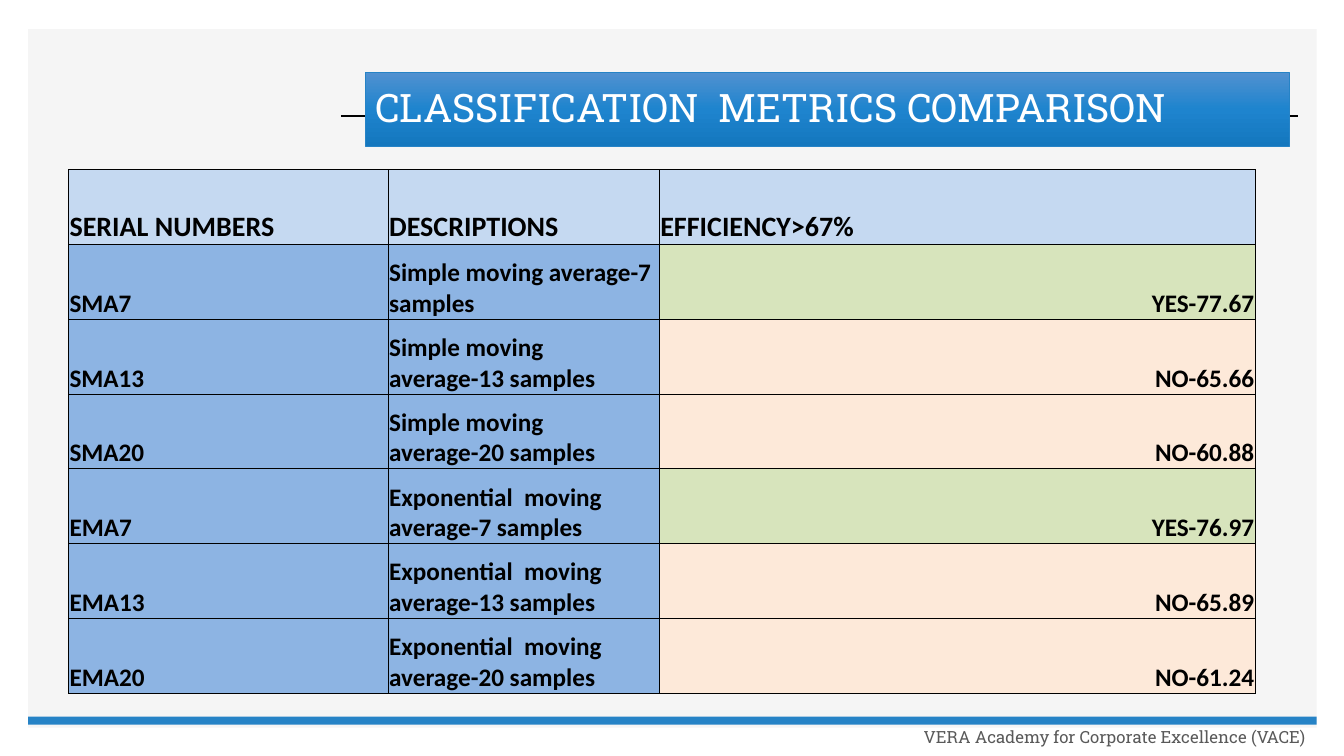
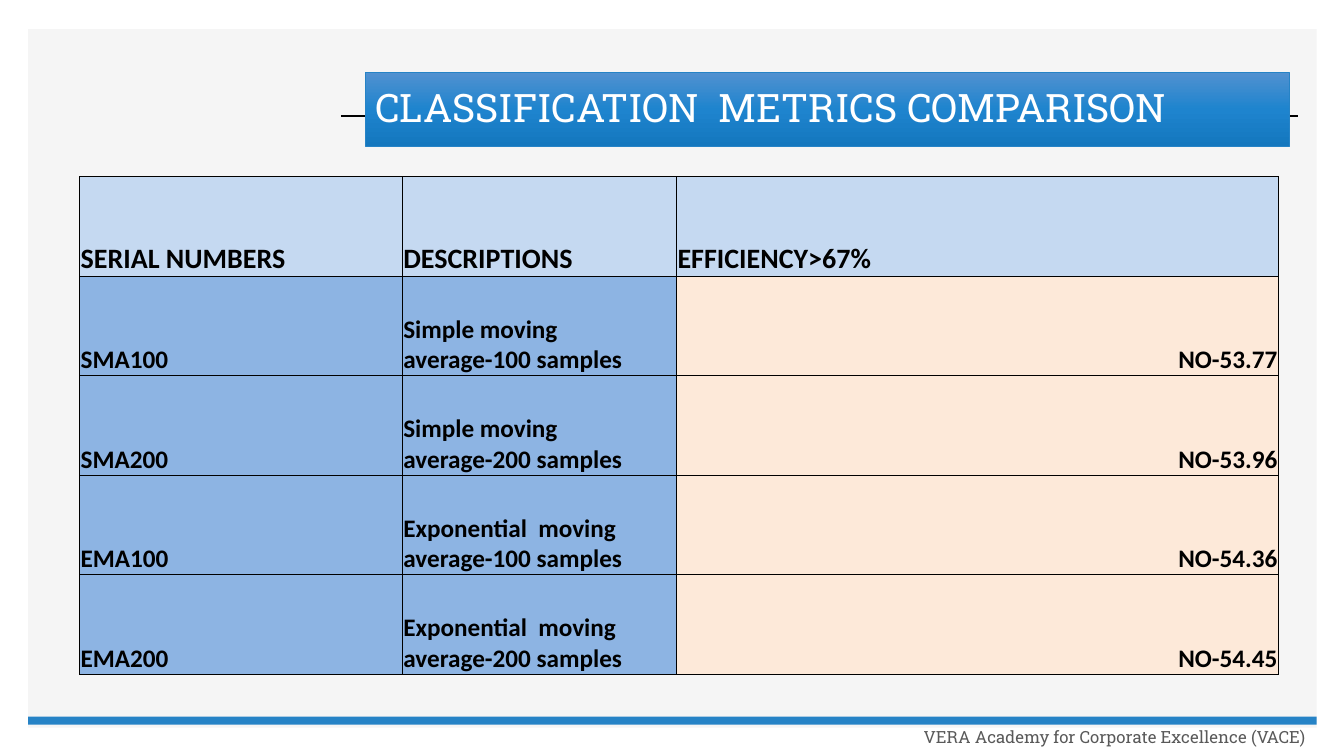
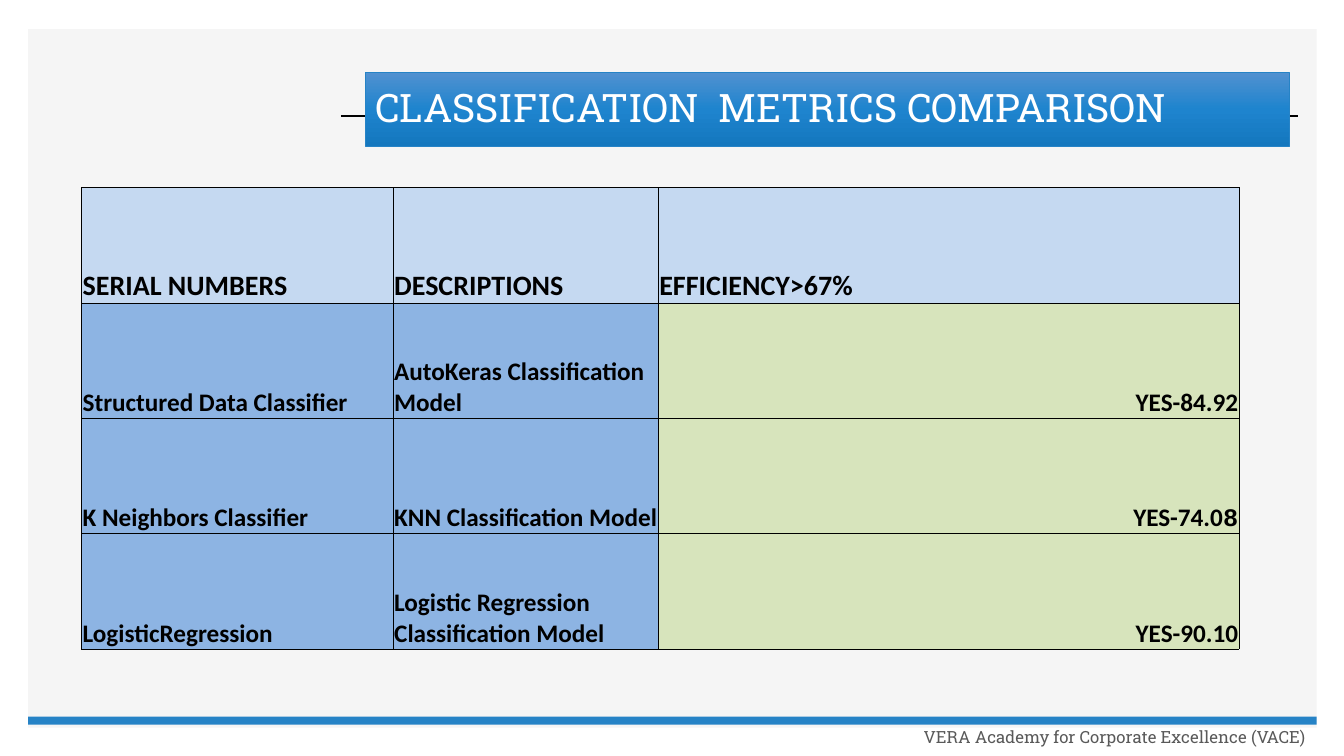
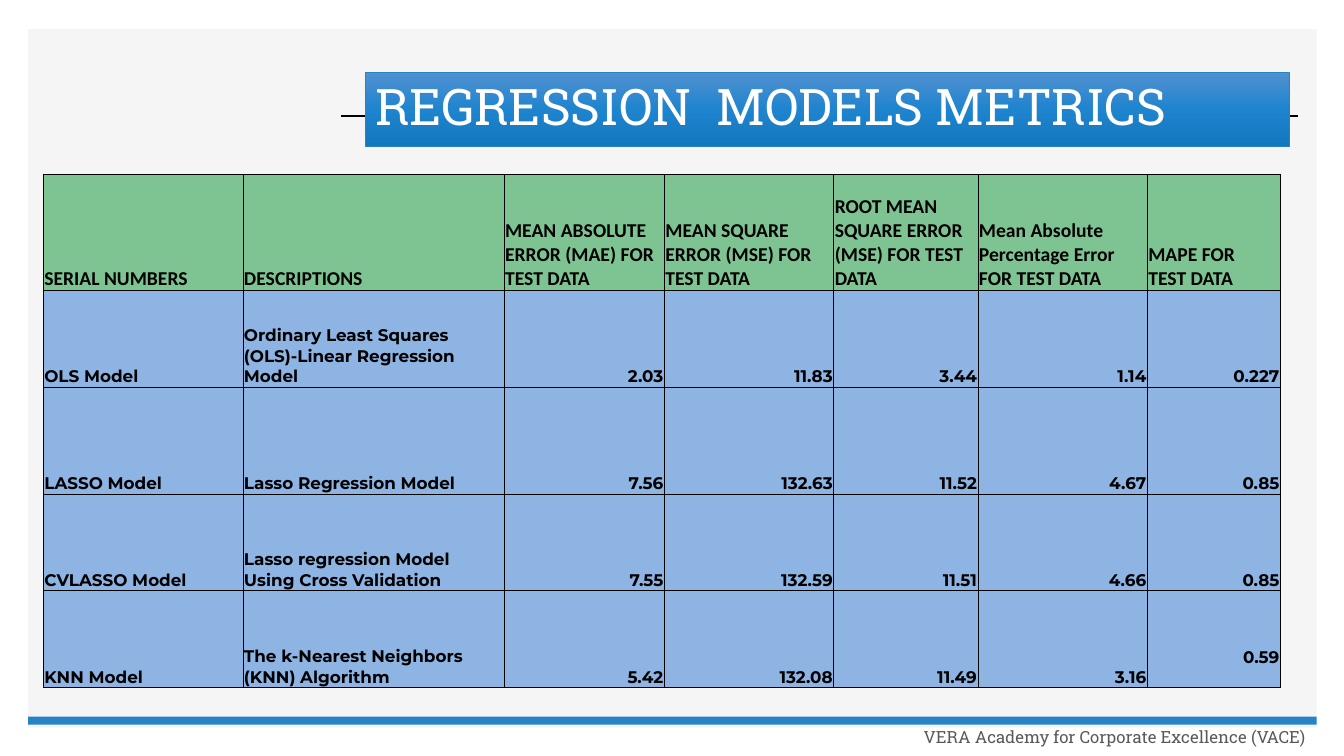
"""Build four slides comparing the metrics of classification and regression models."""
from copy import deepcopy
from dataclasses import dataclass
from typing import Any

from pptx import Presentation
from pptx.dml.color import RGBColor
from pptx.enum.shapes import MSO_CONNECTOR, MSO_SHAPE
from pptx.enum.text import MSO_ANCHOR, MSO_AUTO_SIZE, PP_ALIGN
from pptx.oxml.ns import qn
from pptx.slide import Slide, SlideLayout
from pptx.table import _Cell
from pptx.text.text import TextFrame, _Paragraph
from pptx.util import Inches, Pt
from lxml.etree import SubElement


@dataclass(frozen=True)
class Theme:
    """Colours, fonts and type sizes of the deck."""

    panel: str = "F5F5F5"
    accent: str = "2683C6"
    title_gradient: tuple[str, ...] = ("5191D0", "1E84CE", "1477BE")
    title_text: str = "FFFFFF"
    footer_text: str = "595959"
    ink: str = "000000"
    blue_header: str = "C5D9F1"
    green_header: str = "7EC492"
    body: str = "8DB4E3"
    passed: str = "D7E4BC"
    failed: str = "FDE9D9"
    display_font: str = "Roboto Slab"
    table_font: str = "Calibri"
    metric_font: str = "Montserrat"
    code_font: str = "Courier New"
    title_size: int = 28
    large_title_size: int = 36
    footer_size: int = 12
    header_size: int = 20
    body_size: int = 18
    small_header_size: int = 14
    small_body_size: int = 12


THEME = Theme()
FOOTER = "VERA Academy for Corporate Excellence (VACE)"


@dataclass(frozen=True)
class Entry:
    """Cell text with an optional code-font ending and bottom margin in inches."""

    text: str
    code_tail: str = ""
    bottom: float = 0


@dataclass(frozen=True)
class TableStyle:
    """Fonts, sizes and header fill of one kind of table."""

    header_fill: str
    header_size: int
    body_size: int
    body_font: str


CLASSIFICATION = TableStyle(
    THEME.blue_header, THEME.header_size, THEME.body_size, THEME.table_font
)
REGRESSION = TableStyle(
    THEME.green_header, THEME.small_header_size, THEME.small_body_size, THEME.metric_font
)


@dataclass(frozen=True)
class MetricsSlide:
    """A title and its table, with lengths in inches."""

    title: str
    title_size: int
    style: TableStyle
    left: float
    top: float
    columns: tuple[float, ...]
    row_heights: tuple[float, ...]
    header: tuple[str, ...]
    rows: tuple[tuple[str | Entry, ...], ...]


def comparison(
    left: float, top: float, columns: tuple[float, ...], height: float,
    *rows: tuple[str | Entry, ...],
) -> MetricsSlide:
    """Describe a classification slide with equal row heights."""
    row_count = len(rows) + 1
    return MetricsSlide(
        "CLASSIFICATION  METRICS COMPARISON", THEME.title_size, CLASSIFICATION,
        left, top, columns, (height / row_count,) * row_count,
        ("SERIAL NUMBERS", "DESCRIPTIONS", "EFFICIENCY>67%"), rows,
    )


def average(kind: str, samples: int, result: str) -> tuple[str, str, str]:
    """Return the row of a moving average."""
    names = {"SMA": "Simple moving", "EMA": "Exponential  moving"}
    return f"{kind}{samples}", f"{names[kind]} average-{samples} samples", result


SLIDES = (
    comparison(
        0.68, 1.68, (3.17, 2.69, 5.91), 5.2,
        average("SMA", 7, "YES-77.67"),
        average("SMA", 13, "NO-65.66"),
        average("SMA", 20, "NO-60.88"),
        average("EMA", 7, "YES-76.97"),
        average("EMA", 13, "NO-65.89"),
        average("EMA", 20, "NO-61.24"),
    ),
    comparison(
        0.79, 1.75, (3.2, 2.72, 5.97), 4.94,
        average("SMA", 100, "NO-53.77"),
        average("SMA", 200, "NO-53.96"),
        average("EMA", 100, "NO-54.36"),
        average("EMA", 200, "NO-54.45"),
    ),
    comparison(
        0.81, 1.86, (3.09, 2.63, 5.76), 4.58,
        ("Structured Data Classifier", "AutoKeras Classification Model", "YES-84.92"),
        ("K Neighbors Classifier", "KNN Classification Model", Entry("YES-74.0", "8")),
        ("LogisticRegression", "Logistic Regression Classification Model", "YES-90.10"),
    ),
    MetricsSlide(
        "REGRESSION  MODELS METRICS", THEME.large_title_size, REGRESSION,
        0.43, 1.73, (1.98, 2.59, 1.59, 1.68, 1.43, 1.68, 1.32),
        (1.15, 0.96, 1.06, 0.96, 0.96),
        (
            "SERIAL NUMBERS", "DESCRIPTIONS",
            "MEAN ABSOLUTE ERROR (MAE) FOR TEST DATA",
            "MEAN SQUARE ERROR (MSE) FOR TEST DATA",
            "ROOT MEAN SQUARE ERROR (MSE) FOR TEST DATA",
            "Mean Absolute Percentage Error FOR TEST DATA",
            "MAPE FOR\vTEST DATA",
        ),
        (
            ("OLS Model", "Ordinary Least Squares (OLS)-Linear Regression Model",
             "2.03", "11.83", "3.44", "1.14", "0.227"),
            ("LASSO Model", "Lasso Regression Model",
             "7.56", "132.63", "11.52", "4.67", "0.85"),
            ("CVLASSO Model", "Lasso regression Model Using Cross Validation",
             "7.55", "132.59", "11.51", "4.66", "0.85"),
            ("KNN Model", "The k-Nearest Neighbors (KNN) Algorithm",
             "5.42", "132.08", "11.49", "3.16", Entry("0.59", bottom=0.2)),
        ),
    ),
)


def rgb(color: str) -> RGBColor:
    """Convert a hexadecimal colour."""
    return RGBColor.from_string(color)


def apply_format(target: Any, values: dict[str, Any]) -> None:
    """Set each named attribute of the target."""
    for name, value in values.items():
        setattr(target, name, value)


def format_runs(
    paragraph: _Paragraph, font: str, size: int, color: str, bold: bool = False
) -> None:
    """Format every run of a paragraph."""
    for run in paragraph.runs:
        apply_format(run.font, {"name": font, "size": Pt(size), "bold": bold})
        run.font.color.rgb = rgb(color)


def write_line(
    frame: TextFrame, text: str, size: int, color: str, alignment: PP_ALIGN
) -> None:
    """Write one line in the display font, centred vertically."""
    apply_format(frame, {
        "text": text, "word_wrap": True, "auto_size": MSO_AUTO_SIZE.NONE,
        "vertical_anchor": MSO_ANCHOR.MIDDLE,
    })
    paragraph = frame.paragraphs[0]
    apply_format(paragraph, {"alignment": alignment, "line_spacing": 0.9})
    format_runs(paragraph, THEME.display_font, size, color)


def add_band(slide: Slide, top: float, height: float, color: str) -> None:
    """Add a plain rectangle as wide as the content panel."""
    band = slide.shapes.add_shape(
        MSO_SHAPE.RECTANGLE, Inches(0.28), Inches(top), Inches(12.78), Inches(height)
    )
    band.shadow.inherit = False
    band.fill.solid()
    band.fill.fore_color.rgb = rgb(color)
    band.line.fill.background()


def add_frame(slide: Slide) -> None:
    """Add the panel, title rule, bottom band and footer."""
    add_band(slide, 0.29, 6.93, THEME.panel)
    rule = slide.shapes.add_connector(
        MSO_CONNECTOR.STRAIGHT, Inches(3.38), Inches(1.15), Inches(12.87), Inches(1.15)
    )
    rule.line.color.rgb = rgb(THEME.ink)
    rule.line.width = Pt(1)
    SubElement(rule.element.spPr, qn("a:effectLst"))
    add_band(slide, 7.11, 0.08, THEME.accent)
    footer = slide.shapes.add_textbox(Inches(8.7), Inches(7.08), Inches(4.35), Inches(0.48))
    write_line(
        footer.text_frame, FOOTER, THEME.footer_size, THEME.footer_text, PP_ALIGN.RIGHT
    )


def share_frame(slide: Slide, layout: SlideLayout) -> None:
    """Draw the frame and move it to the layout, behind its title."""
    for placeholder in list(layout.placeholders):
        if placeholder.placeholder_format.idx:
            placeholder.element.getparent().remove(placeholder.element)
    add_frame(slide)
    layout_title = layout.placeholders[0].element
    for shape in list(slide.shapes):
        if not shape.is_placeholder:
            layout_title.addprevious(shape.element)


def format_title(slide: Slide, text: str, size: int) -> None:
    """Place the title and give it a gradient fill."""
    title = slide.shapes.title
    apply_format(title, {
        "left": Inches(3.62), "top": Inches(0.72),
        "width": Inches(9.17), "height": Inches(0.73),
    })
    title.fill.gradient()
    title.fill.gradient_angle = 270
    stop_list = title.element.spPr.find(".//" + qn("a:gsLst"))
    stop_list.append(deepcopy(stop_list[0]))
    for index, color in enumerate(THEME.title_gradient):
        stop = title.fill.gradient_stops[index]
        stop.color.rgb = rgb(color)
        stop.position = index / 2
    title.line.color.rgb = rgb(THEME.accent)
    title.line.width = Pt(0.5)
    write_line(title.text_frame, text, size, THEME.title_text, PP_ALIGN.LEFT)


def add_borders(cell: _Cell) -> None:
    """Draw a thin line on each side of a cell."""
    properties = cell._tc.get_or_add_tcPr()
    for side in ("L", "R", "T", "B"):
        border = SubElement(properties, qn(f"a:ln{side}"), w=str(Pt(0.5)))
        fill = SubElement(border, qn("a:solidFill"))
        SubElement(fill, qn("a:srgbClr"), val=THEME.ink)


def fill_cell(
    cell: _Cell, entry: Entry, fill: str, font: str, size: int, alignment: PP_ALIGN
) -> None:
    """Write and format one table cell."""
    add_borders(cell)
    cell.fill.solid()
    cell.fill.fore_color.rgb = rgb(fill)
    apply_format(cell, {
        "text": entry.text, "vertical_anchor": MSO_ANCHOR.BOTTOM,
        "margin_left": Inches(0.01), "margin_right": Inches(0.01),
        "margin_top": Inches(0.01), "margin_bottom": Inches(entry.bottom),
    })
    paragraph = cell.text_frame.paragraphs[0]
    paragraph.alignment = alignment
    if entry.code_tail:
        paragraph.add_run().text = entry.code_tail
    format_runs(paragraph, font, size, THEME.ink, bold=True)
    if entry.code_tail:
        paragraph.runs[-1].font.name = THEME.code_font


def body_fill(text: str) -> str:
    """Choose a body colour from the verdict in the text."""
    verdicts = {"YES": THEME.passed, "NO": THEME.failed}
    return verdicts.get(text.split("-")[0], THEME.body)


def add_metrics_table(slide: Slide, content: MetricsSlide) -> None:
    """Add the table of a metrics slide."""
    table = slide.shapes.add_table(
        len(content.row_heights), len(content.columns),
        Inches(content.left), Inches(content.top),
        Inches(sum(content.columns)), Inches(sum(content.row_heights)),
    ).table
    apply_format(table, {"first_row": False, "horz_banding": False})
    for column, width in zip(table.columns, content.columns):
        column.width = Inches(width)
    for row, height in zip(table.rows, content.row_heights):
        row.height = Inches(height)
    style = content.style
    for row_index, values in enumerate((content.header, *content.rows)):
        for column_index, value in enumerate(values):
            entry = value if isinstance(value, Entry) else Entry(value)
            cell = table.cell(row_index, column_index)
            if row_index == 0:
                fill_cell(cell, entry, style.header_fill, THEME.table_font,
                          style.header_size, PP_ALIGN.LEFT)
            else:
                alignment = PP_ALIGN.RIGHT if column_index >= 2 else PP_ALIGN.LEFT
                fill_cell(cell, entry, body_fill(entry.text), style.body_font,
                          style.body_size, alignment)


def main() -> None:
    """Build and save the presentation."""
    presentation = Presentation()
    presentation.slide_width = Inches(13.33)
    presentation.slide_height = Inches(7.5)
    layout = presentation.slide_layouts.get_by_name("Title Only")
    for index, content in enumerate(SLIDES):
        slide = presentation.slides.add_slide(layout)
        if index == 0:
            share_frame(slide, layout)
        format_title(slide, content.title, content.title_size)
        add_metrics_table(slide, content)
    presentation.save("out.pptx")


if __name__ == "__main__":
    main()
